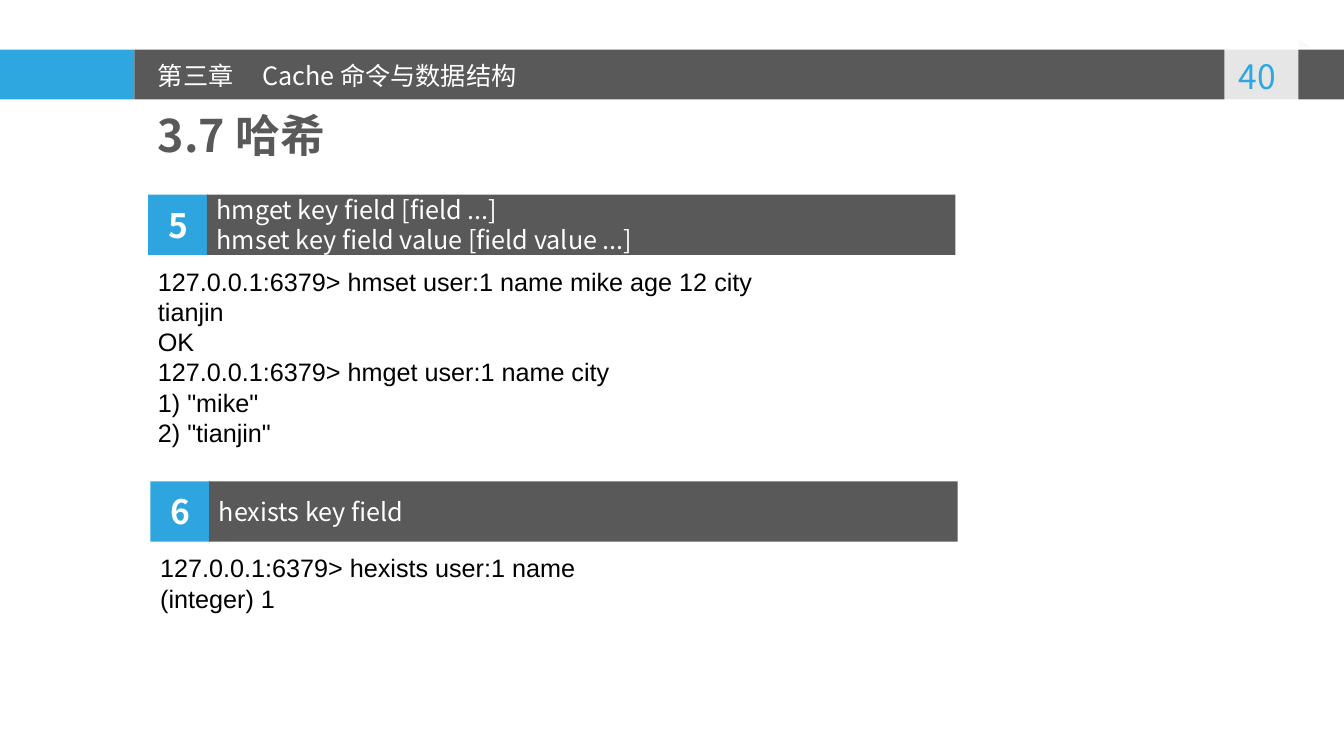
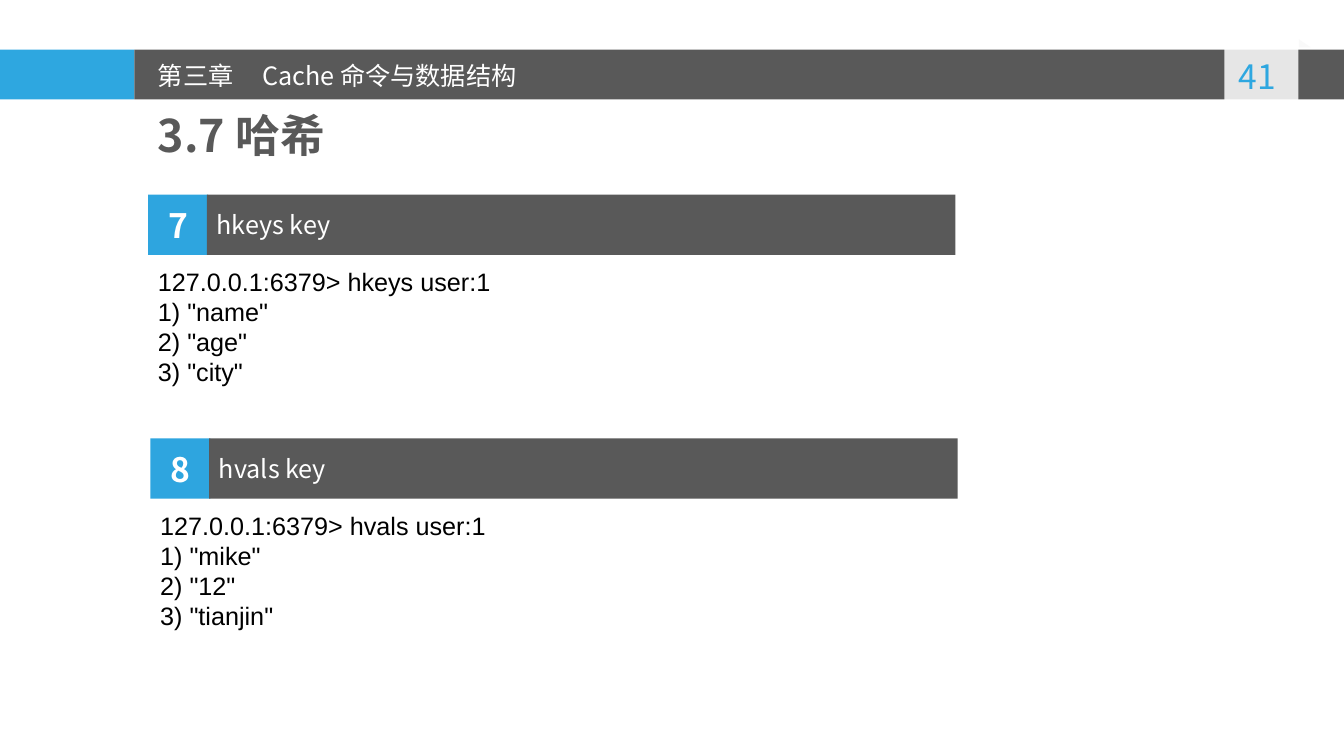
"""Build two lesson slides on hash commands."""
from dataclasses import dataclass

from pptx import Presentation
from pptx import util as u
from pptx.dml.color import RGBColor
from pptx.enum import shapes, text
from pptx.oxml import ns, xmlchemy


@dataclass(frozen=True)
class Theme:
    """Colours, fonts and type sizes shared by the slides."""

    blue: str = "2EA7E0"
    badge_blue: str = "2EA5DF"
    gray: str = "595959"
    white: str = "FFFFFF"
    fold: str = "F8F8F8"
    black: str = "000000"
    sans: str = "Noto Sans CJK SC"
    code: str = "Arial"
    body_size: int = 18
    number_size: int = 24
    title_size: int = 32
    leading: float = 1.2


THEME = Theme()
SLIDE_WIDTH, SLIDE_HEIGHT = 960.48, 540
HEADER = (0, 35.5, SLIDE_WIDTH, 35.5)
TITLE = (105.8, 73.4, 441.4, 46)
CARD_WIDTH = 577
CHAPTER = "第三章\tCache 命令与数据结构"
SECTION = "3.7 哈希"

LESSONS = [
    (40, [
        (105.8, 139, "5",
         ["hmget key field [field ...]", "hmset key field value [field value ...]"],
         ["127.0.0.1:6379> hmset user:1 name mike age 12 city tianjin", "OK",
          "127.0.0.1:6379> hmget user:1 name city", '1) "mike"', '2) "tianjin"']),
        (107.4, 343.8, "6", ["hexists key field"],
         ["127.0.0.1:6379> hexists user:1 name", "(integer) 1"]),
    ]),
    (41, [
        (105.8, 139, "7", ["hkeys key"],
         ["127.0.0.1:6379> hkeys user:1", '1) "name"', '2) "age"', '3) "city"']),
        (107.4, 313.2, "8", ["hvals key"],
         ["127.0.0.1:6379> hvals user:1", '1) "mike"', '2) "12"', '3) "tianjin"']),
    ]),
]


def points(*values):
    """Turn numbers into lengths in points."""
    return [u.Pt(value) for value in values]


def paint(shape, color, opacity=100):
    """Give a shape a flat fill without line or shadow."""
    shape.shadow.inherit = False
    shape.line.fill.background()
    shape.fill.solid()
    shape.fill.fore_color.rgb = RGBColor.from_string(color)
    if opacity < 100:
        color_node = shape._element.spPr.find(".//" + ns.qn("a:srgbClr"))
        alpha = xmlchemy.OxmlElement("a:alpha")
        alpha.set("val", str(opacity * 1000))
        color_node.append(alpha)
    return shape


def add_block(slide, box, color, kind=shapes.MSO_SHAPE.RECTANGLE, opacity=100):
    """Add a filled preset shape."""
    return paint(slide.shapes.add_shape(kind, *points(*box)), color, opacity)


def write(shape, lines, size, color, font=THEME.sans, bold=False, centered=False, tab=None):
    """Write one paragraph per line in a shape."""
    frame = shape.text_frame
    frame.word_wrap = True
    frame.text = "\n".join(lines)
    for paragraph in frame.paragraphs:
        paragraph.alignment = text.PP_ALIGN.CENTER if centered else text.PP_ALIGN.LEFT
        paragraph.line_spacing = u.Pt(size * THEME.leading)
        paragraph.font.size = u.Pt(size)
        paragraph.font.bold = bold
        paragraph.font.color.rgb = RGBColor.from_string(color)
        paragraph.font.name = font
        defaults = paragraph._p.pPr.find(ns.qn("a:defRPr"))
        east_asian = xmlchemy.OxmlElement("a:ea")
        east_asian.set("typeface", font)
        defaults.append(east_asian)
        if tab:
            tab_list = xmlchemy.OxmlElement("a:tabLst")
            stop = xmlchemy.OxmlElement("a:tab")
            stop.set("pos", str(u.Pt(tab)))
            stop.set("algn", "l")
            tab_list.append(stop)
            defaults.addprevious(tab_list)


def add_text(slide, box, lines, size, color, **style):
    """Add a text box anchored at the top."""
    write(slide.shapes.add_textbox(*points(*box)), lines, size, color, **style)


def add_page_tab(slide, box, number):
    """Draw the notched page tab with its number."""
    left, top, width, height = box
    add_block(slide, (left + width, top - 0.7, 8.6, 5.8), THEME.fold,
              shapes.MSO_SHAPE.RIGHT_TRIANGLE, 83)
    outline = slide.shapes.build_freeform(0, height, scale=u.Pt(1))
    outline.add_line_segments(
        [(0, 0), (width, 0), (width, height), (width / 2, height - 4.3)])
    paint(outline.convert_to_shape(*points(left, top)), THEME.white, 85)
    add_text(slide, (left, top + 7.9, width - 6, 36), [str(number)],
             THEME.number_size, THEME.blue, centered=True)


def add_header(slide, box, number):
    """Draw the chapter band and page tab."""
    left, top, width, height = box
    accent = 96
    add_block(slide, (left, top, accent, height), THEME.blue)
    add_block(slide, (left + accent, top, width - accent, height), THEME.gray)
    add_page_tab(slide, (left + width - 85.5, top - 6.7, 53.2, 49.7), number)
    add_text(slide, (left + 105.8, top + 4.1, 363, 29), [CHAPTER],
             THEME.body_size, THEME.white, tab=74.5)


def add_command_card(slide, box, number, commands, session):
    """Draw a numbered command bar with its session below."""
    left, top, width = box
    side, bar_offset, session_offset = 43, 42, 47.5
    badge = add_block(slide, (left, top, side, side), THEME.badge_blue)
    bar = add_block(slide, (left + bar_offset, top, width - bar_offset, side), THEME.gray)
    for shape in (badge, bar):
        shape.text_frame.vertical_anchor = text.MSO_ANCHOR.MIDDLE
    write(badge, [number], THEME.number_size, THEME.white, bold=True, centered=True)
    write(bar, commands, THEME.body_size, THEME.white)
    height = len(session) * THEME.body_size * THEME.leading + 7.2
    add_text(slide, (left, top + session_offset, 480, height), session,
             THEME.body_size, THEME.black, font=THEME.code)


def add_lesson(presentation, number, cards):
    """Add one slide of command cards."""
    slide = presentation.slides.add_slide(presentation.slide_layouts[6])
    add_header(slide, HEADER, number)
    add_text(slide, TITLE, [SECTION], THEME.title_size, THEME.gray, bold=True)
    for left, top, *content in cards:
        add_command_card(slide, (left, top, CARD_WIDTH), *content)


def main():
    """Build and save the presentation."""
    presentation = Presentation()
    presentation.slide_width, presentation.slide_height = points(SLIDE_WIDTH, SLIDE_HEIGHT)
    for number, cards in LESSONS:
        add_lesson(presentation, number, cards)
    presentation.save("out.pptx")


if __name__ == "__main__":
    main()
